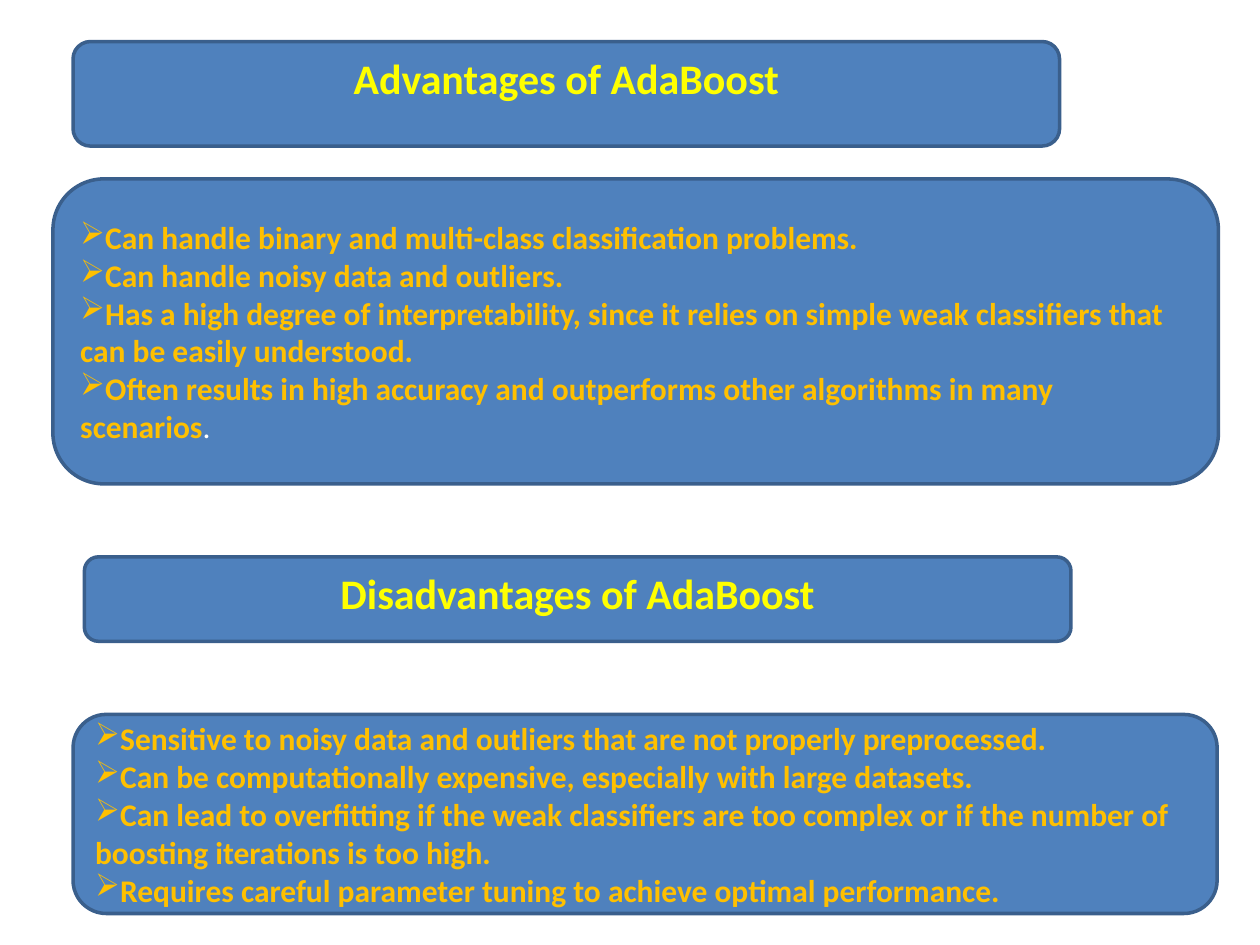
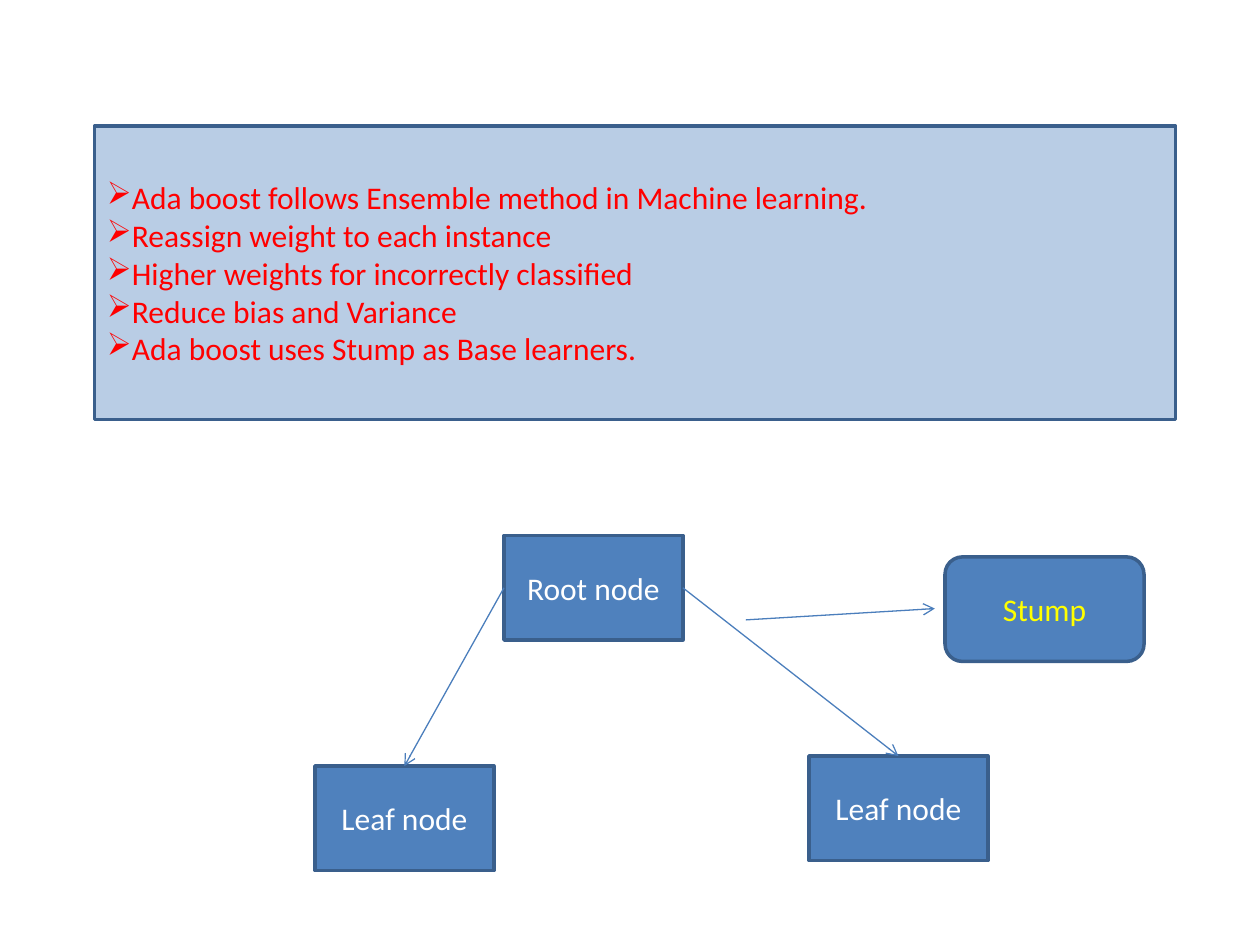
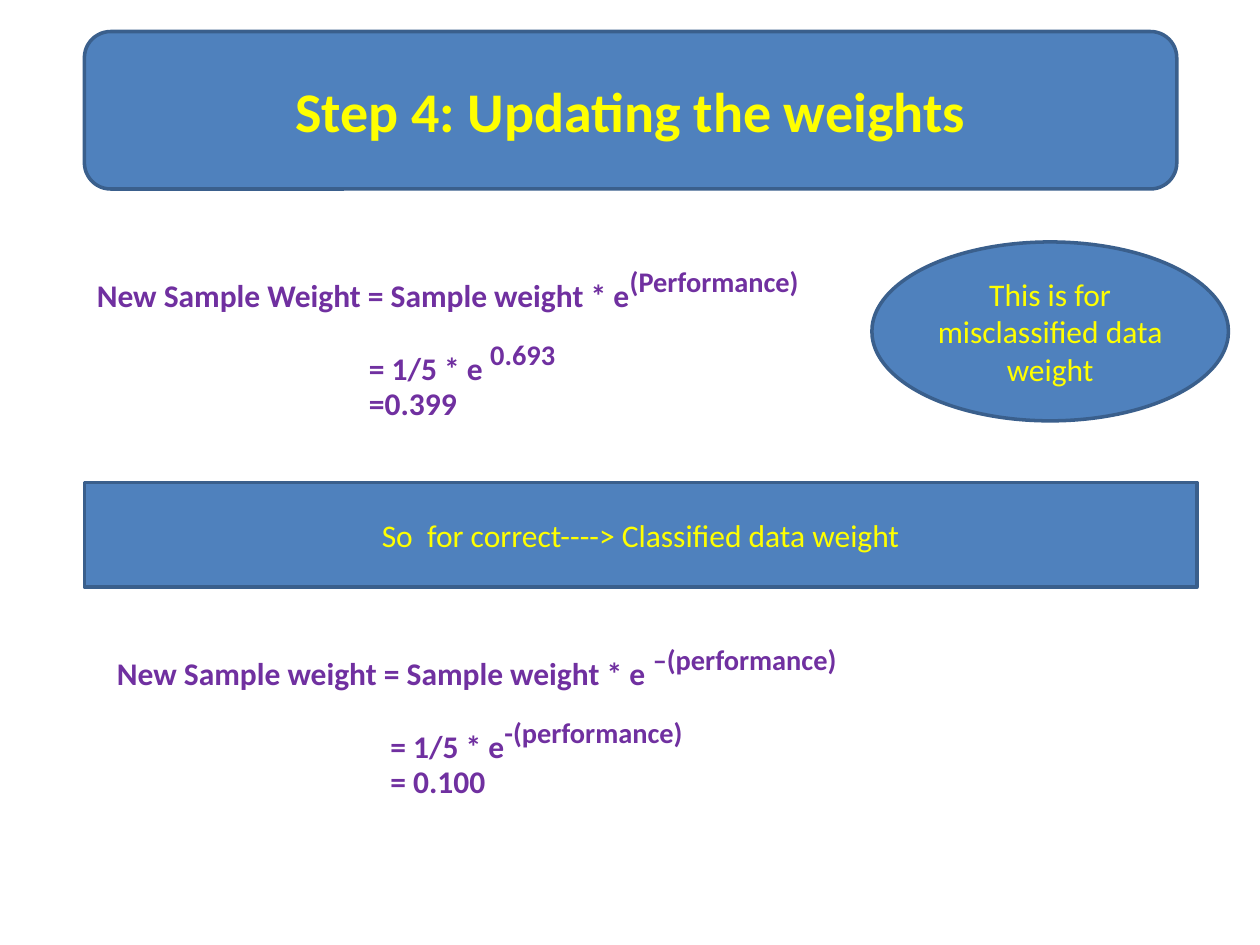
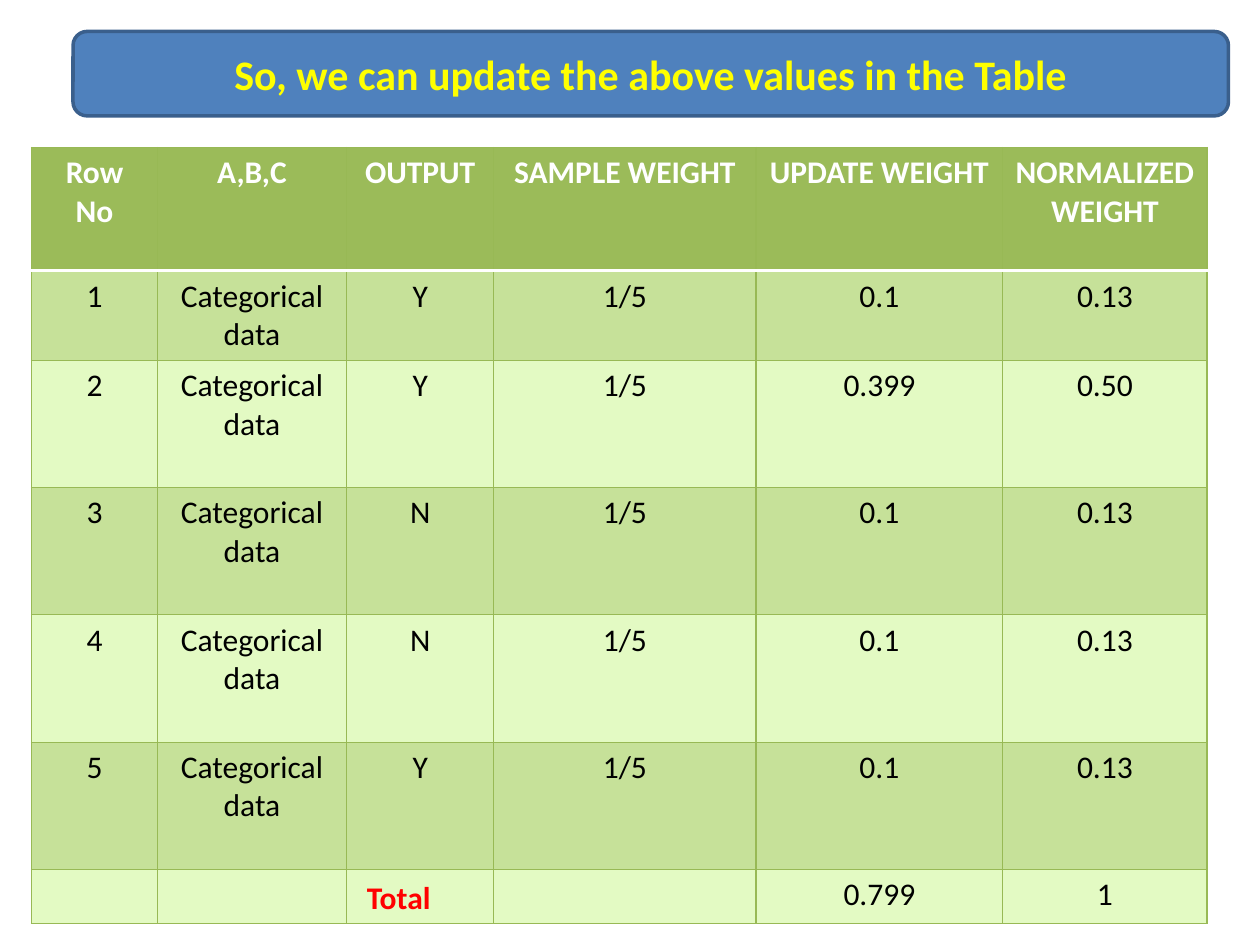
from lxml import etree
from pptx import Presentation
from pptx import util as u
from pptx.dml.color import RGBColor
from pptx.enum import shapes, text
from pptx.oxml.ns import qn

BLUE = RGBColor(0x4F, 0x81, 0xBD)
BLUE_EDGE = RGBColor(0x3A, 0x5F, 0x8C)
ARROW_BLUE = RGBColor(0x4B, 0x7E, 0xBC)
PALE_BLUE = RGBColor(0xB9, 0xCD, 0xE5)
YELLOW = RGBColor(0xFF, 0xFF, 0x00)
AMBER = RGBColor(0xFF, 0xC0, 0x00)
RED = RGBColor(0xFF, 0x00, 0x00)
PURPLE = RGBColor(0x70, 0x30, 0xA0)
WHITE = RGBColor(0xFF, 0xFF, 0xFF)
BLACK = RGBColor(0x00, 0x00, 0x00)
GREEN = RGBColor(0x9B, 0xBB, 0x59)
GREEN_EDGE = RGBColor(0x98, 0xB9, 0x55)
GREEN_BAND = RGBColor(0xC6, 0xE1, 0x99)
GREEN_PALE = RGBColor(0xE3, 0xFA, 0xC3)

FONT = "Calibri"
TITLE_ONLY, BLANK = 5, 6
TOP, MIDDLE = text.MSO_ANCHOR.TOP, text.MSO_ANCHOR.MIDDLE
LEFT, CENTER, JUSTIFY = (text.PP_ALIGN.LEFT, text.PP_ALIGN.CENTER,
                         text.PP_ALIGN.JUSTIFY)
RECTANGLE = shapes.MSO_SHAPE.RECTANGLE
ROUNDED = shapes.MSO_SHAPE.ROUNDED_RECTANGLE
OVAL = shapes.MSO_SHAPE.OVAL

ADVANTAGES = [
    "Can handle binary and multi-class classification problems.",
    "Can handle noisy data and outliers.",
    "Has a high degree of interpretability, since it relies on simple weak "
    "classifiers that can be easily understood.",
    "Often results in high accuracy and outperforms other algorithms in many "
    "scenarios",
]
DISADVANTAGES = [
    "Sensitive to noisy data and outliers that are not properly preprocessed.",
    "Can be computationally expensive, especially with large datasets.",
    "Can lead to overfitting if the weak classifiers are too complex or if the "
    "number of boosting iterations is too high.",
    "Requires careful parameter tuning to achieve optimal performance.",
]
SUMMARY = [
    "Ada boost follows Ensemble method in Machine learning.",
    "Reassign weight to each instance",
    "Higher weights for incorrectly classified",
    "Reduce bias and Variance",
    "Ada boost uses Stump as Base learners.",
]
# left, top, width, height, base text, exponent
FORMULAS = [
    (0.67, 2, 8.67, 0.42, "New Sample Weight = Sample weight * e", "(Performance)"),
    (2.83, 2.58, 5.75, 0.42, "= 1/5 * e ", "0.693"),
    (2.83, 3, 3.83, 0.4, "=0.399", ""),
    (0.83, 5, 6.75, 0.42, "New Sample weight = Sample weight * e ", "–(performance)"),
    (3, 5.58, 3.42, 0.42, "= 1/5 * e", "-(performance)"),
    (3, 6, 1.5, 0.4, "= 0.100", ""),
]
HEADINGS = ["Row No", "A,B,C", "OUTPUT", "SAMPLE WEIGHT", "UPDATE WEIGHT",
            "NORMALIZED WEIGHT"]
# output, updated weight, normalized weight
SAMPLES = [("Y", "0.1", "0.13"), ("Y", "0.399", "0.50"), ("N", "0.1", "0.13"),
           ("N", "0.1", "0.13"), ("Y", "0.1", "0.13")]
COLUMN_WIDTHS = [1, 1.5, 1.17, 2.08, 1.96, 1.62]
ROW_HEIGHTS = [0.98, 0.71] + [1.01] * 4 + [0.43]


def inches(*lengths):
    return [u.Inches(length) for length in lengths]


def add_run(paragraph, words, color, size=18, bold=False):
    run = paragraph.add_run()
    run.text = words
    run.font.name = FONT
    run.font.size = u.Pt(size)
    run.font.bold = bold
    run.font.color.rgb = color
    return run


def add_box(slide, kind, bounds, fill=BLUE):
    box = slide.shapes.add_shape(kind, *inches(*bounds))
    box.shadow.inherit = False
    box.fill.solid()
    box.fill.fore_color.rgb = fill
    box.line.color.rgb = BLUE_EDGE
    box.line.width = u.Pt(2)
    box.text_frame.word_wrap = True
    return box


def add_label_box(slide, kind, bounds, words, color=YELLOW, size=18,
                  bold=False, anchor=MIDDLE):
    box = add_box(slide, kind, bounds)
    box.text_frame.vertical_anchor = anchor
    paragraph = box.text_frame.paragraphs[0]
    paragraph.alignment = CENTER
    add_run(paragraph, words, color, size, bold)
    return box


def add_title(slide, bounds, words, size=24, anchor=MIDDLE):
    """Lay the title placeholder over a rounded band."""
    add_box(slide, ROUNDED, bounds)
    title = slide.shapes.title
    title.left, title.top, title.width, title.height = inches(*bounds)
    frame = title.text_frame
    frame.word_wrap = True
    frame.auto_size = text.MSO_AUTO_SIZE.NONE
    frame.vertical_anchor = anchor
    frame.margin_top = frame.margin_bottom = u.Inches(0.09)
    frame.paragraphs[0].alignment = CENTER
    add_run(frame.paragraphs[0], words, YELLOW, size, True)
    slide.shapes.element.append(title.element)  # bring in front of the band


def add_bullet_box(slide, kind, bounds, items, color, fill=BLUE, bold=False,
                   alignment=LEFT):
    box = add_box(slide, kind, bounds, fill)
    frame = box.text_frame
    frame.vertical_anchor = MIDDLE
    for index, item in enumerate(items):
        paragraph = frame.add_paragraph() if index else frame.paragraphs[0]
        paragraph.alignment = alignment
        properties = paragraph._p.get_or_add_pPr()
        etree.SubElement(properties, qn("a:buChar"), char="➢")
        add_run(paragraph, item, color, bold=bold)
    return box


def add_text(slide, bounds, words, color, exponent="", alignment=LEFT):
    box = slide.shapes.add_textbox(*inches(*bounds))
    box.text_frame.word_wrap = True
    box.text_frame.auto_size = text.MSO_AUTO_SIZE.SHAPE_TO_FIT_TEXT
    paragraph = box.text_frame.paragraphs[0]
    paragraph.alignment = alignment
    add_run(paragraph, words, color, bold=True)
    if exponent:
        run = add_run(paragraph, exponent, color, 28, True)
        run.font._element.set("baseline", "30000")


def add_arrow(slide, start=(0, 0), end=(0, 0)):
    arrow = slide.shapes.add_connector(shapes.MSO_CONNECTOR.STRAIGHT,
                                       *inches(*start, *end))
    arrow.line.color.rgb = ARROW_BLUE
    arrow.line.width = u.Pt(0.75)
    properties = arrow.element.spPr
    etree.SubElement(properties.find(qn("a:ln")), qn("a:tailEnd"), type="arrow")
    etree.SubElement(properties, qn("a:effectLst"))
    return arrow


def add_border(cell, side, color, width):
    properties = cell._tc.get_or_add_tcPr()
    line = etree.SubElement(properties, qn(f"a:ln{side}"), w=str(u.Pt(width)))
    fill = etree.SubElement(line, qn("a:solidFill"))
    etree.SubElement(fill, qn("a:srgbClr"), val=str(color))


def format_cell(cell, row, words):
    for side in "LRTB":
        divides_header = (row, side) in ((0, "B"), (1, "T"))
        add_border(cell, side, *((WHITE, 2) if divides_header
                                 else (GREEN_EDGE, 0.75)))
    header = row == 0
    cell.fill.solid()
    cell.fill.fore_color.rgb = (GREEN if header
                                else GREEN_BAND if row % 2 else GREEN_PALE)
    if words:
        paragraph = cell.text_frame.paragraphs[0]
        paragraph.alignment = CENTER
        add_run(paragraph, words, WHITE if header else BLACK, bold=header)


def add_weight_table(slide):
    rows = [HEADINGS]
    for number, (output, updated, normalized) in enumerate(SAMPLES, 1):
        rows.append([str(number), "Categorical data", output, "1/5", updated,
                     normalized])
    rows.append(["", "", "", "", "0.799", "1"])
    bounds = inches(0.25, 1.17, sum(COLUMN_WIDTHS), sum(ROW_HEIGHTS))
    table = slide.shapes.add_table(len(rows), len(HEADINGS), *bounds).table
    for column, width in zip(table.columns, COLUMN_WIDTHS):
        column.width = u.Inches(width)
    for index, (height, words) in enumerate(zip(ROW_HEIGHTS, rows)):
        table.rows[index].height = u.Inches(height)
        for cell, word in zip(table.rows[index].cells, words):
            format_cell(cell, index, word)


def build_pros_and_cons(slide):
    add_title(slide, (0.58, 0.33, 7.83, 0.83), "Advantages of AdaBoost",
              anchor=TOP)
    advantages = add_bullet_box(slide, ROUNDED, (0.42, 1.42, 9.25, 2.42),
                                ADVANTAGES, AMBER, bold=True)
    add_run(advantages.text_frame.paragraphs[-1], ".", WHITE)
    add_label_box(slide, ROUNDED, (0.67, 4.42, 7.83, 0.67),
                  "Disadvantages of AdaBoost", size=24, bold=True, anchor=TOP)
    add_bullet_box(slide, ROUNDED, (0.58, 5.67, 9.08, 1.58), DISADVANTAGES,
                   AMBER, bold=True)


def build_stump(slide):
    add_bullet_box(slide, RECTANGLE, (0.75, 1, 8.58, 2.33), SUMMARY, RED,
                   PALE_BLUE, alignment=JUSTIFY)
    root, right_leaf, left_leaf = [
        add_label_box(slide, RECTANGLE, (left, top, 1.42, 0.83), words, WHITE)
        for left, top, words in ((4, 4.25, "Root node"), (6.42, 6, "Leaf node"),
                                 (2.5, 6.08, "Leaf node"))]
    for root_side, leaf in ((1, left_leaf), (3, right_leaf)):
        branch = add_arrow(slide)
        branch.begin_connect(root, root_side)
        branch.end_connect(leaf, 0)
    add_arrow(slide, (5.92, 4.92), (7.42, 4.83))
    add_label_box(slide, ROUNDED, (7.5, 4.42, 1.58, 0.83), "Stump")


def build_weight_update(slide):
    add_title(slide, (0.67, 0.25, 8.67, 1.25), "Step 4: Updating the weights", 32)
    for *bounds, words, exponent in FORMULAS:
        add_text(slide, bounds, words, PURPLE, exponent)
    add_label_box(slide, OVAL, (6.92, 1.92, 2.83, 1.42),
                  "This is for misclassified data weight")
    add_label_box(slide, RECTANGLE, (0.67, 3.83, 8.83, 0.83),
                  "So  for correct----> Classified data weight")


def build_updated_table(slide):
    add_title(slide, (0.58, 0.25, 9.17, 0.67),
              "So, we can update the above values in the Table")
    add_weight_table(slide)
    add_text(slide, (0.33, 6.92, 5.67, 0.42), "Total", RED, alignment=CENTER)


def main():
    presentation = Presentation()
    presentation.slide_width, presentation.slide_height = inches(10, 7.5)
    for layout, build in ((TITLE_ONLY, build_pros_and_cons),
                          (BLANK, build_stump),
                          (TITLE_ONLY, build_weight_update),
                          (TITLE_ONLY, build_updated_table)):
        build(presentation.slides.add_slide(presentation.slide_layouts[layout]))
    presentation.save("out.pptx")


if __name__ == "__main__":
    main()
